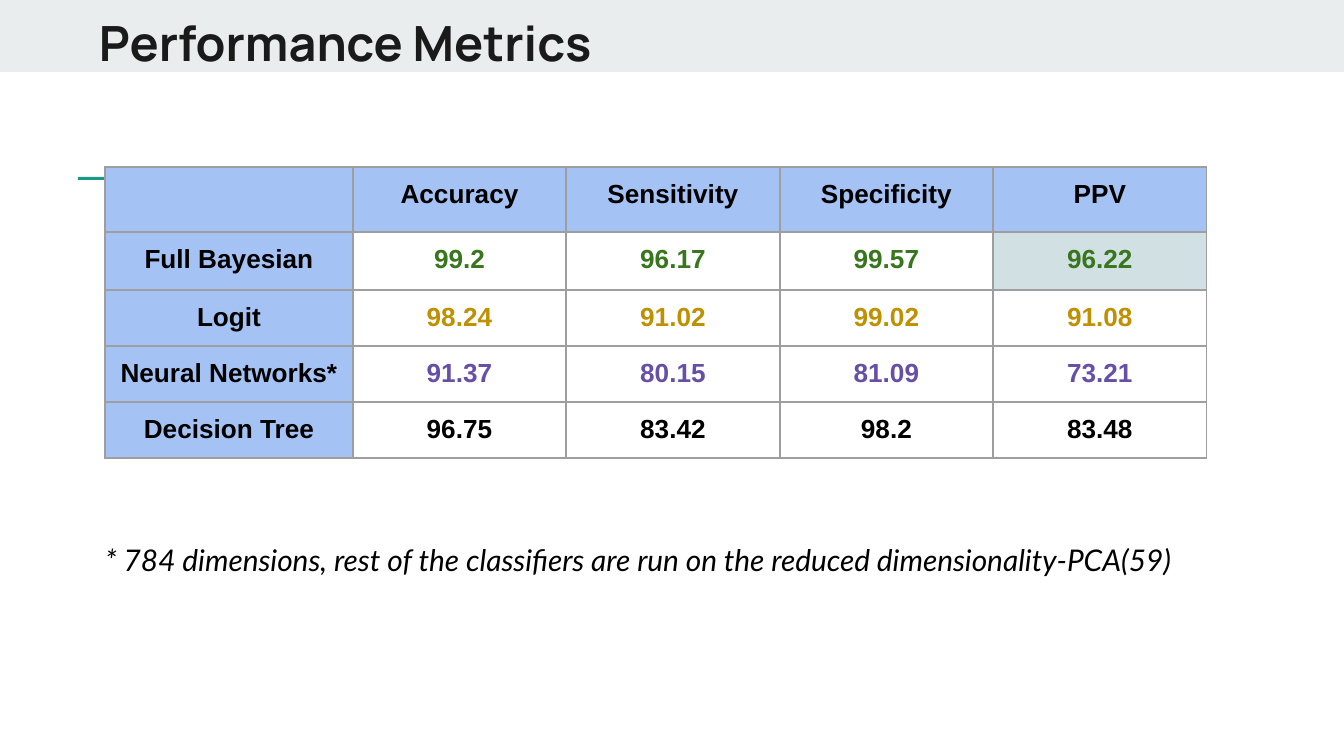
from pptx import Presentation
from pptx.dml.color import RGBColor
from pptx.enum.shapes import MSO_SHAPE
from pptx.enum.text import MSO_ANCHOR, PP_ALIGN
from pptx.oxml import parse_xml
from pptx.oxml.ns import nsdecls
from pptx.util import Pt

PX = 6804  # EMU in one px, 134.4 px to the inch
MARGINS = {"margin_left": 13, "margin_right": 13, "margin_top": 13, "margin_bottom": 11}
COLORS = {
    "band": "E9EDEE", "accent": "1A9988", "title": "1A1A1A", "text": "000000",
    "header": "A4C2F4", "highlight": "D0E0E3", "border": "9E9E9E",
    "best": "38761D", "second": "BF9000", "network": "674EA7",
}
TITLE_FONT = {"name": "Manrope", "size": Pt(26), "bold": True}
TABLE_FONT = {"name": "Arial", "size": Pt(14), "bold": True}
NOTE_FONT = {"name": "Lato", "size": Pt(16), "italic": True}

COLUMN_WIDTHS = [248, 213, 214, 213, 214]
ROW_HEIGHTS = [65, 58, 56, 56, 56]
HEADINGS = ["", "Accuracy", "Sensitivity", "Specificity", "PPV"]
CLASSIFIERS = [
    ("best", ["Full Bayesian", "99.2", "96.17", "99.57", "96.22"]),
    ("second", ["Logit", "98.24", "91.02", "99.02", "91.08"]),
    ("network", ["Neural Networks*", "91.37", "80.15", "81.09", "73.21"]),
    ("text", ["Decision Tree", "96.75", "83.42", "98.2", "83.48"]),
]
HIGHLIGHTED_CELL = (1, 4)


def px(*lengths):
    return [length * PX for length in lengths]


def rgb(name):
    return RGBColor.from_string(COLORS[name])


def format_font(font, values, color):
    for attribute, value in values.items():
        setattr(font, attribute, value)
    font.color.rgb = rgb(color)


def set_margins(target):
    """Inset the text of a text frame or a table cell."""
    for attribute, length in MARGINS.items():
        setattr(target, attribute, length * PX)


def add_bar(slide, box, color):
    shape = slide.shapes.add_shape(MSO_SHAPE.RECTANGLE, *px(*box))
    shape.shadow.inherit = False
    shape.fill.solid()
    shape.fill.fore_color.rgb = rgb(color)
    shape.line.fill.background()


def add_text(slide, box, text, font, color):
    frame = slide.shapes.add_textbox(*px(*box)).text_frame
    frame.word_wrap = True
    frame.vertical_anchor = MSO_ANCHOR.TOP
    set_margins(frame)
    paragraph = frame.paragraphs[0]
    paragraph.text = text
    format_font(paragraph.runs[0].font, font, color)


def add_borders(cell):
    properties = cell._tc.get_or_add_tcPr()
    for position, side in enumerate(("lnL", "lnR", "lnT", "lnB")):
        properties.insert(position, parse_xml(
            f'<a:{side} {nsdecls("a")} w="{Pt(0.75)}"><a:solidFill>'
            f'<a:srgbClr val="{COLORS["border"]}"/></a:solidFill></a:{side}>'))


def fill_cell(cell, text, color, fill):
    set_margins(cell)
    if fill:
        cell.fill.solid()
        cell.fill.fore_color.rgb = rgb(fill)
    else:
        cell.fill.background()
    add_borders(cell)
    paragraph = cell.text_frame.paragraphs[0]
    paragraph.alignment = PP_ALIGN.CENTER
    if text:
        paragraph.text = text
        format_font(paragraph.runs[0].font, TABLE_FONT, color)
    else:
        paragraph._p.get_or_add_endParaRPr().set("sz", "1400")


def add_metrics_table(slide, left, top):
    rows = [("text", HEADINGS)] + CLASSIFIERS
    box = px(left, top, sum(COLUMN_WIDTHS), sum(ROW_HEIGHTS))
    table = slide.shapes.add_table(len(rows), len(HEADINGS), *box).table
    table.horz_banding = False
    for column, width in zip(table.columns, COLUMN_WIDTHS):
        column.width = width * PX
    for row, height in zip(table.rows, ROW_HEIGHTS):
        row.height = height * PX
    for r, (row_color, texts) in enumerate(rows):
        for c, text in enumerate(texts):
            fill = "header" if r == 0 or c == 0 else None
            if (r, c) == HIGHLIGHTED_CELL:
                fill = "highlight"
            color = "text" if c == 0 else row_color
            fill_cell(table.cell(r, c), text, color, fill)


def main():
    presentation = Presentation()
    presentation.slide_width, presentation.slide_height = px(1344, 756)
    slide = presentation.slides.add_slide(presentation.slide_layouts[6])
    add_bar(slide, (0, 0, 1344, 72), "band")
    add_bar(slide, (78, 177, 99, 3), "accent")
    add_text(slide, (86, 0, 1130, 79), "Performance Metrics", TITLE_FONT, "title")
    add_metrics_table(slide, 105, 167)
    add_text(slide, (92, 529, 1130, 79),
             "* 784 dimensions, rest of the classifiers are run on the reduced "
             "dimensionality-PCA(59)", NOTE_FONT, "text")
    presentation.save("out.pptx")


if __name__ == "__main__":
    main()
